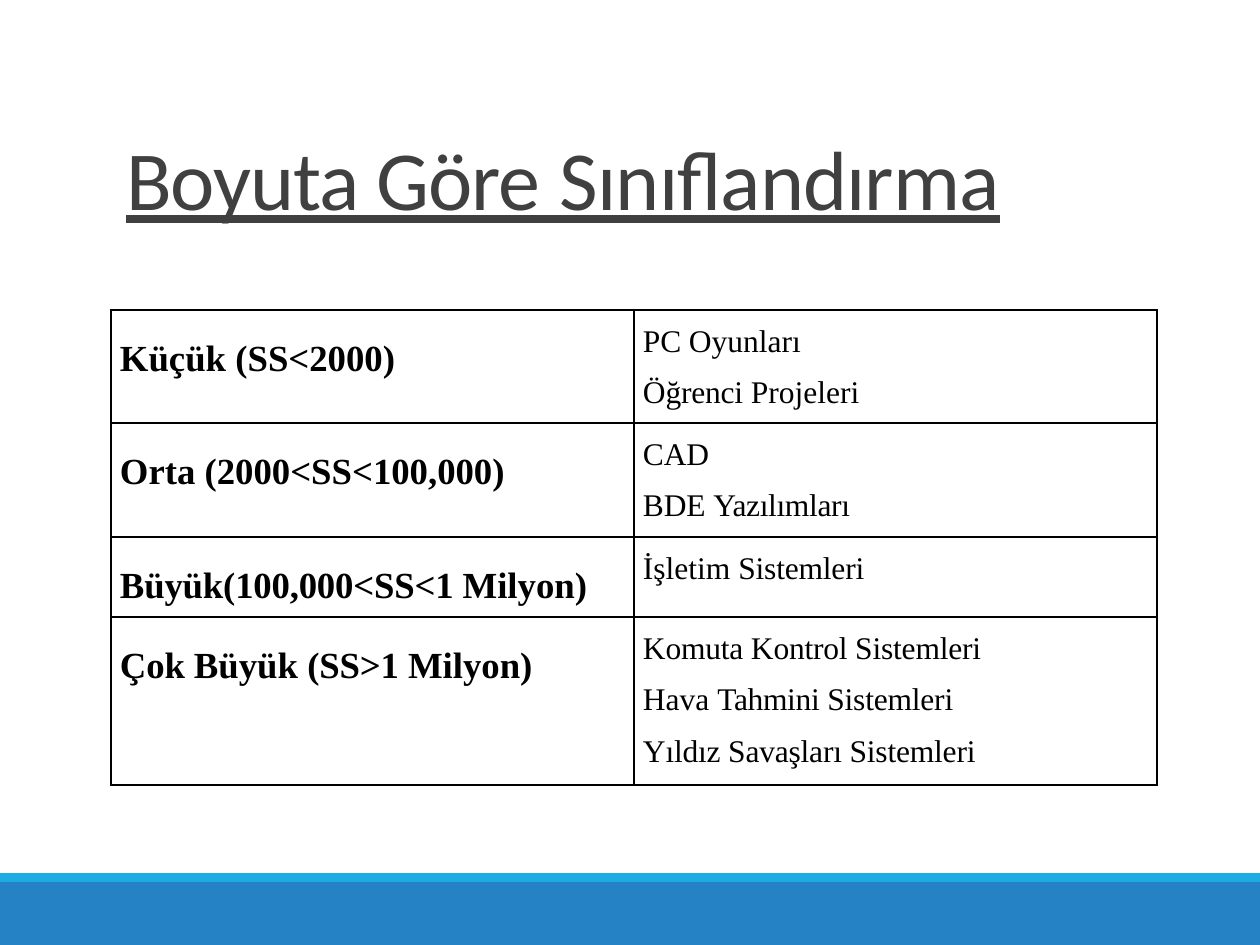
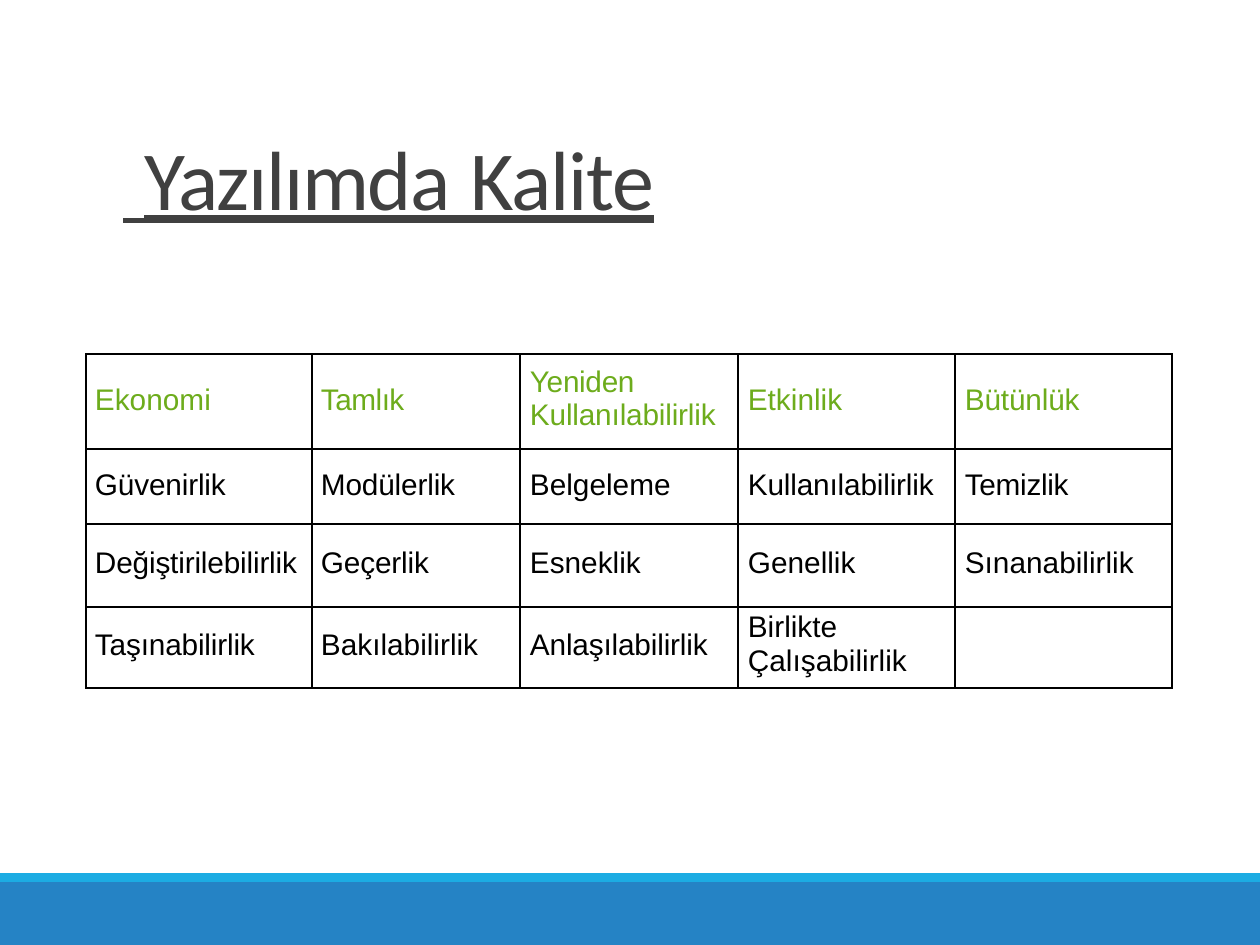
"""Two slides of tables on software size classes and software quality."""
from lxml import etree
from pptx import Presentation
from pptx import util as u
from pptx.dml.color import RGBColor
from pptx.enum import shapes, text
from pptx.oxml import ns

WIDE, HIGH = 1260, 945
INK, GREY, GREEN = "000000", "404040", "6DAC1C"
BLUE, SKY = "2583C5", "1CACE3"
SERIF, SANS, HEAD = "Times New Roman", "Arial", "Calibri"

SIZES = [
    ([[("Küçük (SS<2000)", 0)]],
     [[("PC ", -0.1), ("Oyunları", 0)],
      [("Öğrenci ", -0.1), ("Projeleri", 0)]]),
    ([[("Orta (2000<SS<100,000)", 0)]],
     [[("CAD", -0.1)],
      [("BDE ", -0.1), ("Yazılımları", -0.2)]]),
    ([[("Büyük(100,000<SS<1 ", -0.1), ("Milyon)", 0)]],
     [[("İşletim ", 0), ("Sistemleri", -0.1)]]),
    ([[("Çok ", -0.1), ("Büyük ", 0), ("(SS>1 ", -0.1), ("Milyon)", 0)]],
     [[("Komuta Kontrol Sistemleri", -0.1)],
      [("Hava ", 0), ("Tahmini ", -0.2), ("Sistemleri", -0.1)],
      [("Yıldız Savaşları Sistemleri", -0.1)]]),
]

TRAITS = [
    [[("Ekonomi", 0)], [("Tamlık", -0.3)],
     [("Yeniden", -0.2), ("Kullanılabilirlik", -0.1)],
     [("Etkinlik", 0)], [("Bütünlük", -0.1)]],
    [[("Güvenirlik", -0.1)], [("Modülerlik", -0.1)], [("Belgeleme", 0)],
     [("Kullanılabilirlik", -0.1)], [("Temizlik", -0.2)]],
    [[("Değiştirilebilirlik", -0.1)], [("Geçerlik", -0.1)], [("Esneklik", 0)],
     [("Genellik", 0)], [("Sınanabilirlik", 0)]],
    [[("Taşınabilirlik", -0.1)], [("Bakılabilirlik", 0)],
     [("Anlaşılabilirlik", -0.1)], [("Birlikte Çalışabilirlik", 0)], []],
]


def px(n):
    """Turn pixels into EMU."""
    return u.Emu(round(n * u.Inches(10) / WIDE))


def color(code):
    """Turn a hex string into a colour."""
    return RGBColor.from_string(code)


def add_run(para, words, size, face, ink, gap=0, bold=False, line=False):
    """Add one styled run with letter spacing in points."""
    run = para.add_run()
    run.text = words
    font = run.font
    font.size, font.name, font.bold = u.Pt(size), face, bold
    font.underline = line
    font.color.rgb = color(ink)
    if gap:
        font._element.set("spc", str(round(gap * 100)))


def add_band(slide, top, high, fill):
    """Add a plain band across the slide."""
    band = slide.shapes.add_shape(
        shapes.MSO_SHAPE.RECTANGLE, 0, px(top), px(WIDE), px(high))
    band.shadow.inherit = False
    band.fill.solid()
    band.fill.fore_color.rgb = color(fill)
    band.line.fill.background()


def add_title(slide, left, runs):
    """Add the underlined title from (words, face, spacing) runs."""
    box = slide.shapes.add_textbox(px(left), px(126), px(1030), px(105))
    frame = box.text_frame
    frame.word_wrap = True
    frame.margin_left = frame.margin_right = frame.margin_bottom = 0
    frame.margin_top = px(1)
    for words, face, gap in runs:
        add_run(frame.paragraphs[0], words, 48, face, GREY, gap, line=True)


def add_edges(cell):
    """Draw a thin black line on all four sides of a cell."""
    props = cell._tc.get_or_add_tcPr()
    for side in "LRTB":
        edge = etree.SubElement(props, ns.qn("a:ln" + side), w=str(u.Pt(1)))
        fill = etree.SubElement(edge, ns.qn("a:solidFill"))
        etree.SubElement(fill, ns.qn("a:srgbClr"), val=INK)


def add_grid(slide, left, top, cols, rows):
    """Add an empty table with lined, unfilled cells."""
    frame = slide.shapes.add_table(
        len(rows), len(cols), px(left), px(top), px(sum(cols)), px(sum(rows)))
    grid = frame.table
    grid.first_row = grid.horz_banding = False
    for col, wide in zip(grid.columns, cols):
        col.width = px(wide)
    for row, high in zip(grid.rows, rows):
        row.height = px(high)
    for cell in grid.iter_cells():
        add_edges(cell)
        cell.fill.background()
    return grid


def fill_cell(cell, paras, left, top, gap, **style):
    """Fill a cell with paragraphs of (words, spacing) runs."""
    cell.margin_left, cell.margin_top = px(left), px(top)
    cell.margin_right = cell.margin_bottom = 0
    cell.vertical_anchor = text.MSO_ANCHOR.TOP
    frame = cell.text_frame
    for i, runs in enumerate(paras):
        para = frame.add_paragraph() if i else frame.paragraphs[0]
        if i:
            para.space_before = u.Pt(gap)
        for words, space in runs:
            add_run(para, words, gap=space, **style)


def add_slide(deck):
    """Add a blank slide with the two bottom bands."""
    slide = deck.slides.add_slide(deck.slide_layouts[6])
    add_band(slide, 882, 63, BLUE)
    add_band(slide, 873, 9, SKY)
    return slide


def size_slide(deck):
    """Build the slide on classes by size."""
    slide = add_slide(deck)
    add_title(slide, 126, [("Boyuta Göre", HEAD, -0.6), (" ", HEAD, -2),
                           ("Sınıflandırma", HEAD, -0.5)])
    grid = add_grid(slide, 111, 310, [523, 523], [113, 114, 80, 168])
    for r, (name, kinds) in enumerate(SIZES):
        fill_cell(grid.cell(r, 0), name, 9, 29, 0,
                  size=21, face=SERIF, ink=INK, bold=True)
        fill_cell(grid.cell(r, 1), kinds, 9, 14, 9.6,
                  size=18, face=SERIF, ink=INK)


def trait_slide(deck):
    """Build the slide on quality traits."""
    slide = add_slide(deck)
    add_title(slide, 123, [(" ", SERIF, -10.4), ("Yazılımda", HEAD, -0.8),
                           (" ", HEAD, -1.4), ("Kalite", HEAD, -0.7)])
    grid = add_grid(slide, 86, 354, [226, 208, 218, 217, 217],
                    [95, 75, 83, 81])
    tops = [29, 19, 23, 22]
    tall = {(0, 2): 11, (3, 3): 4}
    for r, row in enumerate(TRAITS):
        for c, lines in enumerate(row):
            fill_cell(grid.cell(r, c), [[line] for line in lines],
                      9 if c < 2 else 10, tall.get((r, c), tops[r]), 0,
                      size=17, face=SANS, ink=INK if r else GREEN)


def main():
    """Build and save the deck."""
    deck = Presentation()
    deck.slide_width, deck.slide_height = px(WIDE), px(HIGH)
    size_slide(deck)
    trait_slide(deck)
    deck.save("out.pptx")


if __name__ == "__main__":
    main()
